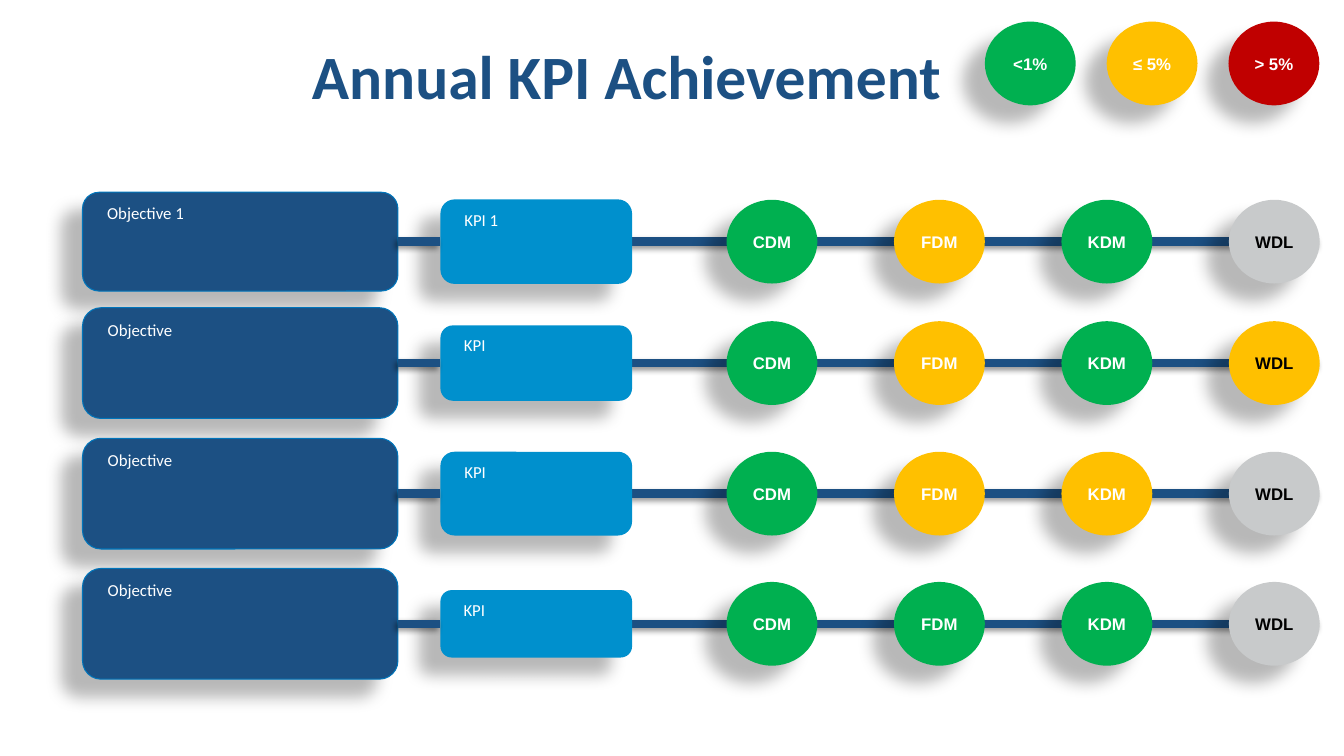
"""Builds the annual KPI achievement slide."""
from lxml.etree import SubElement
from pptx import Presentation
from pptx.dml.color import RGBColor
from pptx.enum.shapes import MSO_CONNECTOR, MSO_SHAPE
from pptx.enum.text import MSO_ANCHOR as Anchor, PP_ALIGN as Align
from pptx.oxml.ns import qn
from pptx.util import Cm, Pt

NAVY = RGBColor(0x1C, 0x50, 0x83)
EDGE_BLUE = RGBColor(0x00, 0x75, 0xBB)
BLUE = RGBColor(0x00, 0x90, 0xCD)
GREEN = RGBColor(0x00, 0xB0, 0x50)
AMBER = RGBColor(0xFF, 0xC0, 0x00)
RED = RGBColor(0xC0, 0x00, 0x00)
GREY = RGBColor(0xC8, 0xCA, 0xCB)
WHITE = RGBColor(0xFF, 0xFF, 0xFF)
BLACK = RGBColor(0x00, 0x00, 0x00)

BOX_SHADOW = (28, 11.8, 19.7, 141)
LINE_SHADOW = (40, 4, 3, 135)
CIRCLE_WIDTH, CIRCLE_HEIGHT = 2.29, 2.11
CIRCLE_LEFT, CIRCLE_STEP = 18.31, 4.22
LEGEND_LEFT, LEGEND_STEP, LEGEND_MIDDLE = 24.82, 3.07, 1.6
OBJECTIVE_LEFT, OBJECTIVE_WIDTH = 2.08, 7.95
KPI_LEFT, KPI_WIDTH = 11.1, 4.83
LINE_END = 33.25

MARKETS = ("CDM", "FDM", "KDM", "WDL")
LEGEND = (("<1%", GREEN), ("≤ 5%", AMBER), ("> 5%", RED))
ROWS = (
    (6.09, "Objective 1", 2.49, "KPI 1", 2.13, (GREEN, AMBER, GREEN, GREY)),
    (9.15, "Objective", 2.79, "KPI", 1.9, (GREEN, AMBER, GREEN, AMBER)),
    (12.44, "Objective", 2.79, "KPI", 2.11, (GREEN, AMBER, AMBER, GREY)),
    (15.72, "Objective", 2.79, "KPI", 1.7, (GREEN, GREEN, GREEN, GREY)),
)


class KpiSlide:
    def __init__(self, slide):
        self.slide = slide
        self.shapes = slide.shapes

    def start_group(self):
        self.shapes = self.slide.shapes.add_group_shape().shapes

    def end_group(self):
        self.shapes = self.slide.shapes

    def shadow(self, shape, opacity, blur, distance, angle):
        effects = SubElement(shape.element.spPr, qn("a:effectLst"))
        outer = SubElement(effects, qn("a:outerShdw"), blurRad=str(Pt(blur)),
                           dist=str(Pt(distance)), dir=str(angle * 60000),
                           algn="tr", rotWithShape="0")
        color = SubElement(outer, qn("a:srgbClr"), val=str(BLACK))
        SubElement(color, qn("a:alpha"), val=str(opacity * 1000))

    def set_text(self, shape, text, font, size, color, align, bold=False):
        paragraph = shape.text_frame.paragraphs[0]
        paragraph.text = text
        paragraph.alignment = align
        paragraph.font.name = font
        paragraph.font.size = Pt(size)
        paragraph.font.bold = bold
        paragraph.font.color.rgb = color
        return paragraph

    def filled(self, kind, left, middle, width, height, fill, edge=None):
        shape = self.shapes.add_shape(kind, Cm(left), Cm(middle - height / 2),
                                      Cm(width), Cm(height))
        shape.fill.solid()
        shape.fill.fore_color.rgb = fill
        if edge is None:
            shape.line.fill.background()
        else:
            shape.line.color.rgb = edge
            shape.line.width = Pt(0.75)
        self.shadow(shape, *BOX_SHADOW)
        shape.text_frame.word_wrap = True
        return shape

    def box(self, text, left, middle, width, height, fill, align, edge=None):
        shape = self.filled(MSO_SHAPE.ROUNDED_RECTANGLE, left, middle, width,
                            height, fill, edge)
        shape.text_frame.vertical_anchor = Anchor.TOP
        paragraph = self.set_text(shape, text, "Calibri", 12, WHITE, align)
        paragraph.line_spacing = 1.06
        paragraph.space_after = Pt(6)
        paragraph._p.get_or_add_pPr().set("marL", str(Cm(0.25)))

    def circle(self, text, left, middle, fill, color=WHITE):
        shape = self.filled(MSO_SHAPE.OVAL, left, middle, CIRCLE_WIDTH,
                            CIRCLE_HEIGHT, fill)
        shape.text_frame.vertical_anchor = Anchor.MIDDLE
        self.set_text(shape, text, "Arial", 12, color, Align.CENTER, bold=True)

    def line(self, start, end, middle):
        connector = self.shapes.add_connector(
            MSO_CONNECTOR.STRAIGHT, Cm(start), Cm(middle), Cm(end), Cm(middle))
        connector.line.color.rgb = NAVY
        connector.line.width = Pt(6)
        self.shadow(connector, *LINE_SHADOW)

    def title(self, text, left, top, width, height):
        shape = self.shapes.add_textbox(Cm(left), Cm(top), Cm(width), Cm(height))
        shape.text_frame.word_wrap = True
        shape.text_frame.vertical_anchor = Anchor.MIDDLE
        paragraph = self.set_text(shape, text, "Calibri", 44, NAVY, Align.CENTER,
                                  bold=True)
        paragraph.line_spacing = 0.9

    def row(self, middle, objective, objective_height, kpi, kpi_height, colors):
        self.start_group()
        self.line(KPI_LEFT + KPI_WIDTH, LINE_END, middle)
        self.box(objective, OBJECTIVE_LEFT, middle, OBJECTIVE_WIDTH,
                 objective_height, NAVY, Align.JUSTIFY, EDGE_BLUE)
        self.box(kpi, KPI_LEFT, middle, KPI_WIDTH, kpi_height, BLUE, Align.LEFT)
        self.line(OBJECTIVE_LEFT + OBJECTIVE_WIDTH, KPI_LEFT, middle)
        for index, (market, fill) in enumerate(zip(MARKETS, colors)):
            self.circle(market, CIRCLE_LEFT + index * CIRCLE_STEP, middle, fill,
                        BLACK if market == "WDL" else WHITE)
        self.end_group()


def main():
    presentation = Presentation()
    presentation.slide_width = Cm(33.87)
    presentation.slide_height = Cm(19.05)
    page = KpiSlide(presentation.slides.add_slide(presentation.slide_layouts[6]))
    for row in ROWS:
        page.row(*row)
    page.title("Annual KPI Achievement ", 1.37, 0.86, 29.21, 2.29)
    for index, (text, fill) in enumerate(LEGEND):
        page.circle(text, LEGEND_LEFT + index * LEGEND_STEP, LEGEND_MIDDLE, fill)
    presentation.save("out.pptx")


if __name__ == "__main__":
    main()
